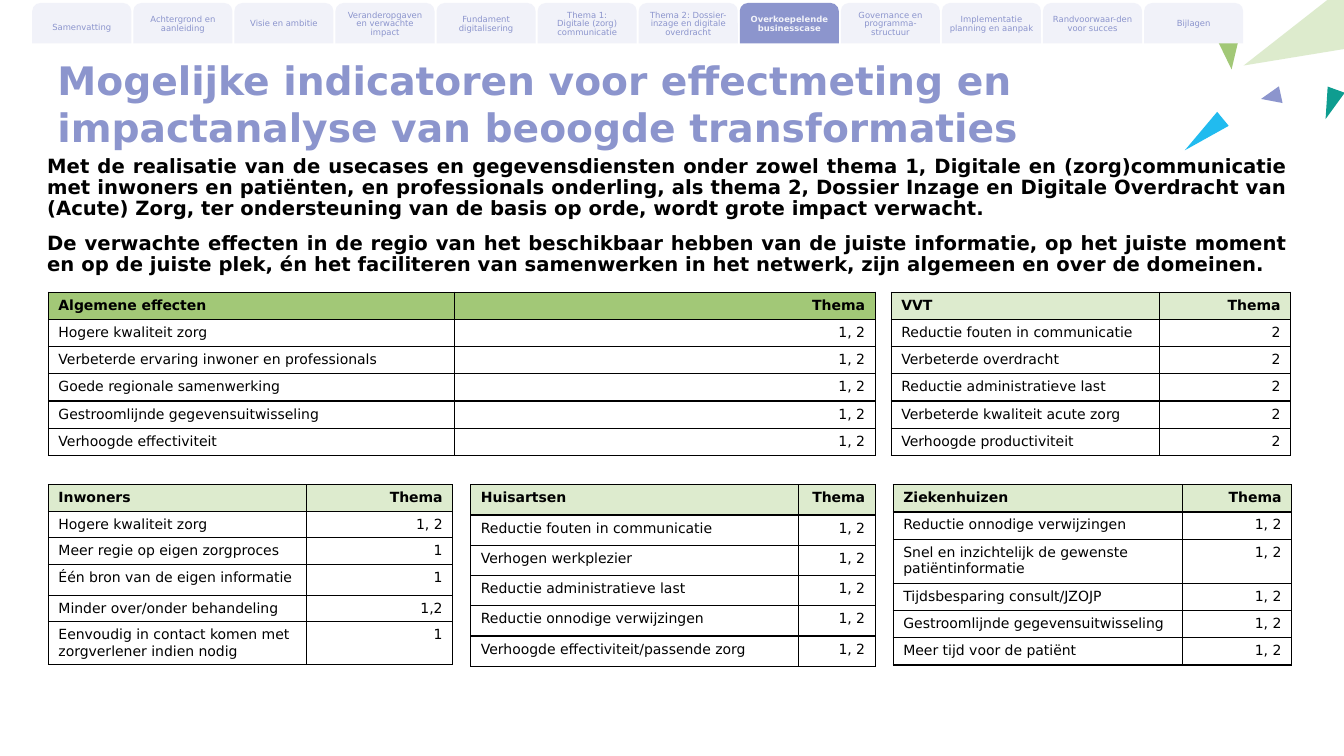
from lxml import etree
from pptx import Presentation
from pptx.dml.color import RGBColor
from pptx.enum.shapes import MSO_SHAPE as Shape
from pptx.enum.text import MSO_ANCHOR as Anchor, MSO_AUTO_SIZE as AutoSize, PP_ALIGN as Align
from pptx.oxml import parse_xml
from pptx.oxml.ns import nsdecls, qn
from pptx.util import Inches, Pt

FONT = "DejaVu Sans"
BLACK = RGBColor(0x00, 0x00, 0x00)
LILAC = RGBColor(0x8C, 0x95, 0xCD)
PALE_LILAC = RGBColor(0xF1, 0xF2, 0xF9)
GREEN = RGBColor(0xA2, 0xC8, 0x77)
PALE_GREEN = RGBColor(0xDD, 0xEB, 0xCE)
BLUE = RGBColor(0x21, 0xBB, 0xEF)
TEAL = RGBColor(0x0E, 0x9D, 0x90)

TITLE = "Mogelijke indicatoren voor effectmeting en impactanalyse van beoogde transformaties"
INTRO = [
    "Met de realisatie van de usecases en gegevensdiensten onder zowel thema 1, Digitale en "
    "(zorg)communicatie met inwoners en patiënten, en professionals onderling, als thema 2, Dossier "
    "Inzage en Digitale Overdracht van (Acute) Zorg, ter ondersteuning van de basis op orde, wordt "
    "grote impact verwacht.",
    "De verwachte effecten in de regio van het beschikbaar hebben van de juiste informatie, op het "
    "juiste moment en op de juiste plek, én het faciliteren van samenwerken in het netwerk, zijn "
    "algemeen en over de domeinen.",
]
CHAPTERS = [
    ["Samenvatting"], ["Achtergrond en aanleiding"], ["Visie en ambitie"],
    ["Veranderopgaven en verwachte impact"], ["Fundament digitalisering"],
    ["Thema 1:", "Digitale (zorg) communicatie"],
    ["Thema 2: Dossier-inzage en digitale overdracht"], ["Overkoepelende businesscase"],
    ["Governance en programma-structuur"], ["Implementatie planning en aanpak"],
    ["Randvoorwaar-den voor succes"], ["Bijlagen"],
]
CURRENT_CHAPTER = "Overkoepelende businesscase"
SHARDS = [
    (12.57, -0.17, 0.6, 1.17, 246.3, GREEN, 36),
    (12.03, 0.24, 0.32, 0.45, 173.7, GREEN, 100),
    (11.85, 1.09, 0.18, 0.49, 230.5, BLUE, 100),
    (13.11, 0.88, 0.18, 0.31, 199.9, TEAL, 100),
    (12.52, 0.86, 0.17, 0.2, 257.8, LILAC, 100),
]
EFFECTS = [
    ("Algemene effecten", GREEN, 0.48, 2.9, [4.03, 4.17], [0.27] * 6, [
        ("Hogere kwaliteit zorg", "1, 2"),
        ("Verbeterde ervaring inwoner en professionals", "1, 2"),
        ("Goede regionale samenwerking", "1, 2"),
        ("Gestroomlijnde gegevensuitwisseling", "1, 2"),
        ("Verhoogde effectiviteit", "1, 2")]),
    ("VVT", PALE_GREEN, 8.84, 2.9, [2.66, 1.3], [0.27] * 6, [
        ("Reductie fouten in communicatie", "2"),
        ("Verbeterde overdracht", "2"),
        ("Reductie administratieve last", "2"),
        ("Verbeterde kwaliteit acute zorg", "2"),
        ("Verhoogde productiviteit", "2")]),
    ("Inwoners", PALE_GREEN, 0.48, 4.81, [2.56, 1.45], [0.26, 0.26, 0.26, 0.31, 0.26, 0.42], [
        ("Hogere kwaliteit zorg", "1, 2"),
        ("Meer regie op eigen zorgproces", "1"),
        ("Één bron van de eigen informatie", "1"),
        ("Minder over/onder behandeling", "1,2"),
        ("Eenvoudig in contact komen met zorgverlener indien nodig", "1")]),
    ("Huisartsen", PALE_GREEN, 4.67, 4.81, [3.25, 0.76], [0.3] * 6, [
        ("Reductie fouten in communicatie", "1, 2"),
        ("Verhogen werkplezier", "1, 2"),
        ("Reductie administratieve last", "1, 2"),
        ("Reductie onnodige verwijzingen", "1, 2"),
        ("Verhoogde effectiviteit/passende zorg", "1, 2")]),
    ("Ziekenhuizen", PALE_GREEN, 8.86, 4.81, [2.87, 1.08], [0.27, 0.27, 0.44, 0.27, 0.27, 0.27], [
        ("Reductie onnodige verwijzingen", "1, 2"),
        ("Snel en inzichtelijk de gewenste patiëntinformatie", "1, 2"),
        ("Tijdsbesparing consult/JZOJP", "1, 2"),
        ("Gestroomlijnde gegevensuitwisseling", "1, 2"),
        ("Meer tijd voor de patiënt", "1, 2")]),
]


def add_run(paragraph, text, size, color, bold=False):
    """Add one formatted run to a paragraph."""
    run = paragraph.add_run()
    run.text = text
    run.font.name = FONT
    run.font.size = Pt(size)
    run.font.bold = bold
    run.font.color.rgb = color


def add_paragraphs(frame, texts):
    """Yield one paragraph of the frame for each text."""
    for index, text in enumerate(texts):
        yield (frame.add_paragraph() if index else frame.paragraphs[0]), text


def add_filled(slide, preset, left, top, width, height, color):
    """Add a flat preset shape without outline."""
    shape = slide.shapes.add_shape(preset, Inches(left), Inches(top), Inches(width), Inches(height))
    shape.shadow.inherit = False
    shape.fill.solid()
    shape.fill.fore_color.rgb = color
    shape.line.fill.background()
    return shape


def add_shards(slide):
    """Scatter the coloured triangles in the top right corner."""
    for left, top, width, height, angle, color, opacity in SHARDS:
        shard = add_filled(slide, Shape.ISOSCELES_TRIANGLE, left, top, width, height, color)
        shard.rotation = angle
        if opacity < 100:
            tint = shard.fill._xPr.find(qn("a:solidFill"))[0]
            etree.SubElement(tint, qn("a:alpha")).set("val", str(opacity * 1000))


def add_title(slide, left, top, width, height):
    """Place and format the title placeholder."""
    title = slide.shapes.title
    title.left, title.top, title.width, title.height = map(Inches, (left, top, width, height))
    frame = title.text_frame
    frame.auto_size = AutoSize.NONE
    frame.word_wrap = True
    frame.vertical_anchor = Anchor.TOP
    frame.paragraphs[0].alignment = Align.LEFT
    add_run(frame.paragraphs[0], TITLE, 28, LILAC, True)


def add_intro(slide, left, top, width, height):
    """Write the justified introduction."""
    intro = slide.shapes.add_textbox(Inches(left), Inches(top), Inches(width), Inches(height))
    frame = intro.text_frame
    frame.word_wrap = True
    for paragraph, text in add_paragraphs(frame, INTRO):
        paragraph.alignment = Align.JUSTIFY
        paragraph.line_spacing = 0.9
        paragraph.space_before = Pt(10 if text != INTRO[0] else 0)
        add_run(paragraph, text, 14, BLACK, True)


def add_chapter_tabs(slide, left, top, width, height, gap):
    """Lay the chapter tabs side by side across the given box."""
    tab_width = (width + gap) / len(CHAPTERS) - gap
    for index, lines in enumerate(CHAPTERS):
        current = lines[0] == CURRENT_CHAPTER
        tab = add_filled(slide, Shape.ROUND_2_SAME_RECTANGLE, left + index * (tab_width + gap), top,
                         tab_width, height, LILAC if current else PALE_LILAC)
        tab.adjustments[0] = 0.2
        frame = tab.text_frame
        frame.word_wrap = True
        frame.vertical_anchor = Anchor.MIDDLE
        frame.margin_left = frame.margin_right = Inches(0.04)
        frame.margin_top = Inches(0.05 if index else 0.13)
        frame.margin_bottom = Inches(0.05)
        for paragraph, text in add_paragraphs(frame, lines):
            paragraph.alignment = Align.CENTER
            paragraph.line_spacing = Pt(6)
            add_run(paragraph, text, 6, PALE_LILAC if current else LILAC, current)


def add_borders(cell):
    """Draw thin black lines on all four sides of a cell."""
    properties = cell._tc.get_or_add_tcPr()
    for side in "LRTB":
        properties.append(parse_xml(
            f'<a:ln{side} {nsdecls("a")} w="{Pt(1)}"><a:solidFill><a:srgbClr val="{BLACK}"/>'
            f'</a:solidFill></a:ln{side}>'))


def add_effects(slide, heading, color, left, top, widths, heights, effects):
    """Build one table of effects with their themes."""
    rows = [(heading, "Thema")] + effects
    table = slide.shapes.add_table(len(rows), 2, Inches(left), Inches(top),
                                   Inches(sum(widths)), Inches(sum(heights))).table
    table.horz_banding = False
    for column, width in zip(table.columns, widths):
        column.width = Inches(width)
    for row_index, (values, height) in enumerate(zip(rows, heights)):
        table.rows[row_index].height = Inches(height)
        for cell, text, alignment in zip(table.rows[row_index].cells, values, (Align.LEFT, Align.RIGHT)):
            add_borders(cell)
            if row_index:
                cell.fill.background()
            else:
                cell.fill.solid()
                cell.fill.fore_color.rgb = color
            paragraph = cell.text_frame.paragraphs[0]
            paragraph.alignment = alignment
            add_run(paragraph, text, 10, BLACK, row_index == 0)


def main():
    """Build and save the slide."""
    deck = Presentation()
    deck.slide_width, deck.slide_height = Inches(13.33), Inches(7.5)
    slide = deck.slides.add_slide(deck.slide_layouts[5])
    add_shards(slide)
    for effects_table in EFFECTS:
        add_effects(slide, *effects_table)
    add_intro(slide, 0.37, 1.5, 12.5, 1.35)
    add_title(slide, 0.47, 0.51, 10.63, 0.55)
    add_chapter_tabs(slide, 0.32, 0.03, 12.01, 0.4, 0.02)
    deck.save("out.pptx")


if __name__ == "__main__":
    main()
